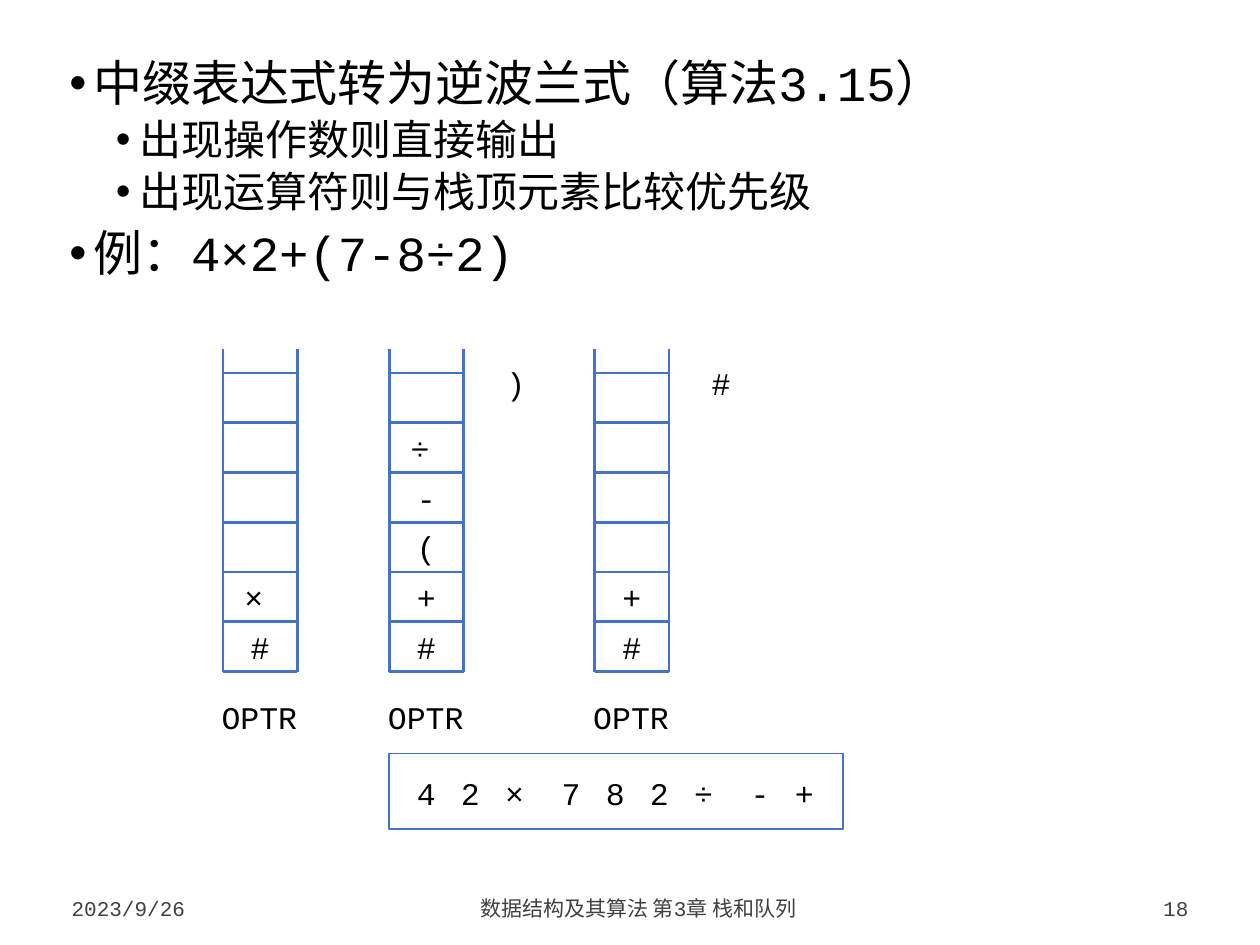
"""Build the slide on turning infix expressions into reverse Polish notation."""
from dataclasses import dataclass

from lxml.etree import SubElement
from pptx import Presentation
from pptx.dml.color import RGBColor as Rgb
from pptx.enum.shapes import MSO_CONNECTOR as Connector, MSO_SHAPE as Shape
from pptx.enum.text import MSO_ANCHOR as Anchor, MSO_AUTO_SIZE as AutoSize, PP_ALIGN as Align
from pptx.oxml.ns import qn
from pptx.util import Inches, Pt


@dataclass(frozen=True)
class Theme:
    font: str = "Courier New"
    ink: Rgb = Rgb(0, 0, 0)
    muted: Rgb = Rgb(0x40, 0x40, 0x40)
    accent: Rgb = Rgb(0x44, 0x72, 0xC4)
    heading: Pt = Pt(28)
    detail: Pt = Pt(24)
    symbol: Pt = Pt(18)
    footer: Pt = Pt(12)
    rule: Pt = Pt(1.5)
    frame: Pt = Pt(1)


theme = Theme()
prs = Presentation()
prs.slide_width, prs.slide_height = Inches(10), Inches(7.5)
COLUMN, ROW = prs.slide_width / 100, prs.slide_height / 75
slide = prs.slides.add_slide(prs.slide_layouts[1])


def add_label(words, left, top, width, height=4, size=theme.symbol,
              color=theme.ink, align=Align.LEFT, anchor=Anchor.TOP):
    label = slide.shapes.add_textbox(
        round(left * COLUMN), round(top * ROW), round(width * COLUMN), round(height * ROW))
    frame = label.text_frame
    frame.word_wrap = True
    frame.vertical_anchor = anchor
    paragraph = frame.paragraphs[0]
    paragraph.alignment = align
    run = paragraph.add_run()
    run.text = words
    run.font.name, run.font.size = theme.font, size
    run.font.color.rgb = color


def add_rule(x1, y1, x2, y2):
    rule = slide.shapes.add_connector(
        Connector.STRAIGHT, round(x1 * COLUMN), round(y1 * ROW),
        round(x2 * COLUMN), round(y2 * ROW))
    rule.line.color.rgb = theme.accent
    rule.line.width = theme.rule
    SubElement(rule._element.spPr, qn("a:effectLst"))


title = slide.shapes.title._element
title.getparent().remove(title)

body = slide.placeholders[1]
body.left, body.top = round(4.7 * COLUMN), round(3.9 * ROW)
body.width, body.height = round(90.6 * COLUMN), round(64.2 * ROW)
outline = body.text_frame
outline.auto_size = AutoSize.NONE
outline.vertical_anchor = Anchor.TOP
outline.margin_left = outline.margin_right = Inches(0.08)
outline.margin_top = outline.margin_bottom = Inches(0.08)

points = [
    (0, "中缀表达式转为逆波兰式（算法3.15）"),
    (1, "出现操作数则直接输出"),
    (1, "出现运算符则与栈顶元素比较优先级"),
    (0, "例：4×2+(7-8÷2)"),
]
levels = [(0.19, theme.heading, Pt(7.5)), (0.56, theme.detail, Pt(3.8))]
for index, (level, words) in enumerate(points):
    indent, size, space = levels[level]
    paragraph = outline.paragraphs[0] if index == 0 else outline.add_paragraph()
    paragraph.level = level
    props = paragraph._p.get_or_add_pPr()
    props.set("marL", str(Inches(indent)))
    props.set("indent", str(-Inches(0.19)))
    SubElement(props, qn("a:buFont"), typeface="Arial")
    SubElement(props, qn("a:buChar"), char="•")
    paragraph.alignment = Align.LEFT
    paragraph.line_spacing = 0.9
    paragraph.space_before = space if index else Pt(0)
    run = paragraph.add_run()
    run.text = words
    run.font.name, run.font.size = theme.font, size
    run.font.color.rgb = theme.ink

footers = [
    ("2023/9/26", 4.7, 13.2, Align.LEFT),
    ("数据结构及其算法 第3章 栈和队列", 19.1, 63.1, Align.CENTER),
    ("18", 83.5, 11.8, Align.RIGHT),
]
for words, left, width, align in footers:
    add_label(words, left, 69.7, width, 3.9, theme.footer, theme.muted, align, Anchor.BOTTOM)

STACK_TOP, STACK_BOTTOM, STACK_WIDTH, SLOT = 27.7, 53.3, 5.9, 3.95
symbol_width = {"×": 4.5, "÷": 4.5}
NARROW = 3.5
stacks = [(17.7, "#×", ""), (30.9, "#+(-÷", ")"), (47.2, "#+", "#")]
for left, operators, incoming in stacks:
    right = left + STACK_WIDTH
    for side in (left, right):
        add_rule(side, STACK_TOP, side, STACK_BOTTOM)
    for slot in range(7):
        level = STACK_BOTTOM - slot * SLOT
        add_rule(left, level, right, level)
    for slot, operator in enumerate(operators, start=1):
        width = symbol_width.get(operator, NARROW)
        add_label(operator, left + (STACK_WIDTH - width) / 2, STACK_BOTTOM - slot * SLOT, width)
    add_label("OPTR", left - 1.1, 54.9, STACK_WIDTH + 2.2)
    if incoming:
        add_label(incoming, right + 2.4, 28.4, NARROW)

output_left = 32.1
for token in "42×782÷-+":
    width = symbol_width.get(token, NARROW)
    add_label(token, output_left, 60.9, width)
    output_left += width

output_frame = slide.shapes.add_shape(
    Shape.RECTANGLE, round(30.9 * COLUMN), round(59.8 * ROW), round(36 * COLUMN), round(6 * ROW))
output_frame.shadow.inherit = False
output_frame.fill.background()
output_frame.line.color.rgb = theme.accent
output_frame.line.width = theme.frame

prs.save("out.pptx")
